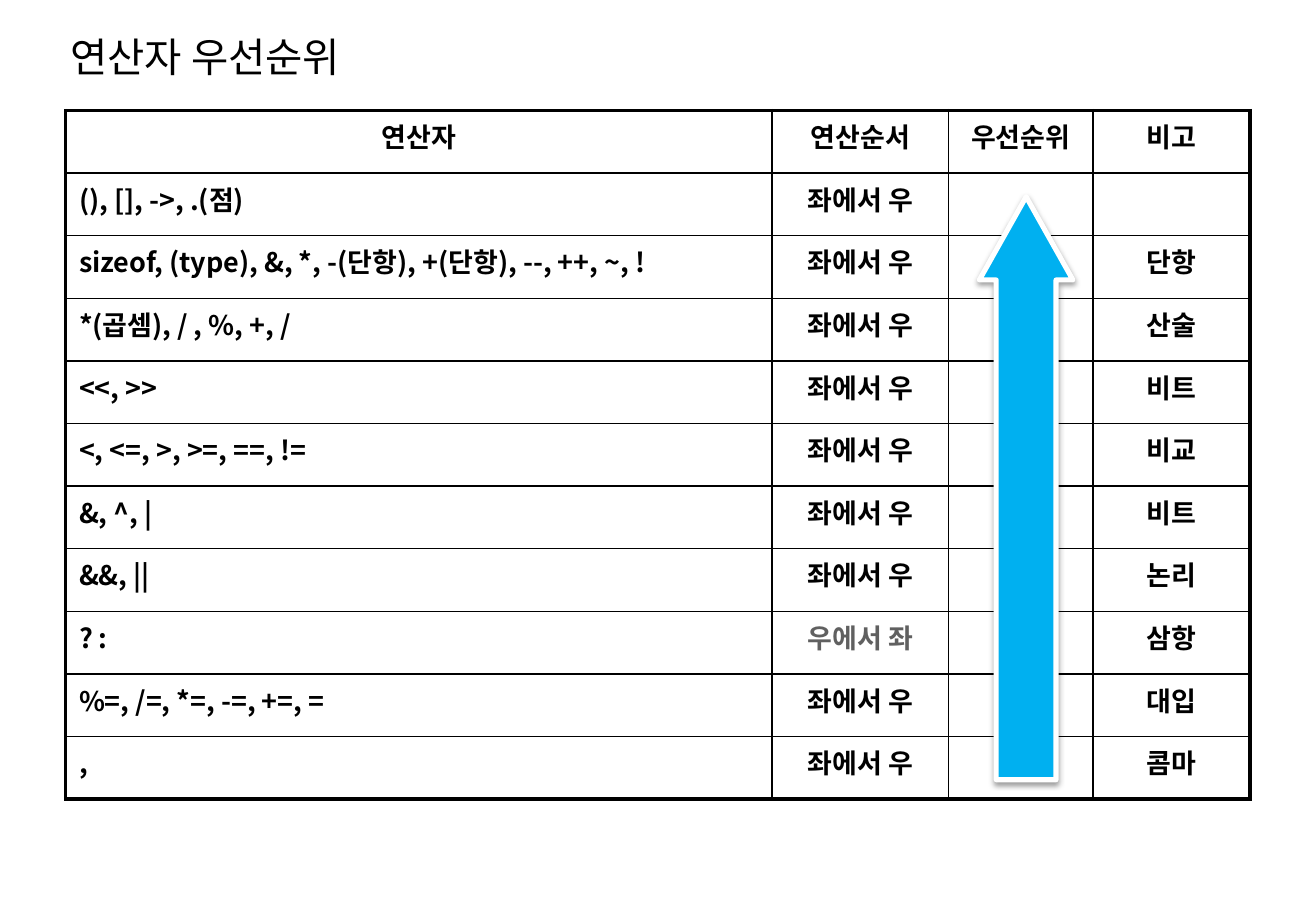
from lxml import etree
from pptx import Presentation
from pptx.dml.color import RGBColor
from pptx.enum.shapes import MSO_SHAPE
from pptx.enum.text import MSO_ANCHOR, PP_ALIGN
from pptx.oxml.ns import qn
from pptx.util import Inches, Pt

UP_ARROW = MSO_SHAPE.UP_ARROW
MIDDLE = MSO_ANCHOR.MIDDLE
LEFT, CENTER = PP_ALIGN.LEFT, PP_ALIGN.CENTER

FONT = "Noto Sans CJK KR"
COLORS = {"ink": "000000", "muted": "606060", "arrow": "00B0F0", "paper": "FFFFFF"}
THIN, THICK = 1, 2.25

LTR, RTL = "좌에서 우", "우에서 좌"
HEADINGS = ["연산자", "연산순서", "우선순위", "비고"]
COLUMN_WEIGHTS = [5.81, 1.45, 1.19, 1.29]
OPERATORS = [
    ("(), [], ->, .(점)", LTR, ""),
    ("sizeof, (type), &, *, -(단항), +(단항), --, ++, ~, !", LTR, "단항"),
    ("*(곱셈), / , %, +, /", LTR, "산술"),
    ("<<, >>", LTR, "비트"),
    ("<, <=, >, >=, ==, !=", LTR, "비교"),
    ("&, ^, |", LTR, "비트"),
    ("&&, ||", LTR, "논리"),
    ("? :", RTL, "삼항"),
    ("%=, /=, *=, -=, +=, =", LTR, "대입"),
    (",", LTR, "콤마"),
]


def rgb(name):
    return RGBColor.from_string(COLORS[name])


def add_xml(parent, tag, **attributes):
    return etree.SubElement(parent, qn(tag), attributes)


class SlideBuilder:
    """Places elements by percentages of the slide's width and height."""

    def __init__(self, deck):
        self.width, self.height = deck.slide_width, deck.slide_height
        self.slide = deck.slides.add_slide(deck.slide_layouts[6])

    def place(self, x, y, w, h):
        return [round(share * side / 100) for share, side in
                zip((x, y, w, h), (self.width, self.height) * 2)]

    def set_text(self, frame, text, size, color="ink", bold=False, align=LEFT):
        paragraph = frame.paragraphs[0]
        paragraph.text = text
        paragraph.alignment = align
        font = paragraph.font
        font.name, font.size, font.bold = FONT, Pt(size), bold
        font.color.rgb = rgb(color)
        add_xml(paragraph._p.pPr.find(qn("a:defRPr")), "a:ea", typeface=FONT)

    def title(self, text, *area):
        frame = self.slide.shapes.add_textbox(*self.place(*area)).text_frame
        frame.word_wrap = True
        frame.vertical_anchor = MIDDLE
        self.set_text(frame, text, 24)

    def borders(self, cell, **widths):
        properties = cell._tc.get_or_add_tcPr()
        for index, side in enumerate("LRTB"):
            line = add_xml(properties, f"a:ln{side}", w=str(Pt(widths[side])))
            add_xml(add_xml(line, "a:solidFill"), "a:srgbClr", val=COLORS["ink"])
            properties.insert(index, line)

    def table(self, rows, weights, *area):
        left, top, width, height = self.place(*area)
        last_row, last_column = len(rows) - 1, len(weights) - 1
        table = self.slide.shapes.add_table(
            len(rows), len(weights), left, top, width, height).table
        table.first_row = table.horz_banding = False
        for column, weight in zip(table.columns, weights):
            column.width = round(width * weight / sum(weights))
        for r, row in enumerate(rows):
            table.rows[r].height = round(height / len(rows))
            for c, text in enumerate(row):
                cell = table.cell(r, c)
                cell.margin_left = cell.margin_right = Inches(0.11)
                cell.fill.background()
                self.borders(cell,
                             L=THIN if c else THICK,
                             R=THICK if c == last_column else THIN,
                             T=THIN if r else THICK,
                             B=THICK if r == last_row else THIN)
                self.set_text(cell.text_frame, text, 16, bold=True,
                              color="muted" if text == RTL else "ink",
                              align=LEFT if r and c == 0 else CENTER)

    def arrow(self, shaft, head, *area):
        arrow = self.slide.shapes.add_shape(UP_ARROW, *self.place(*area))
        arrow.adjustments[0], arrow.adjustments[1] = shaft, head
        arrow.fill.solid()
        arrow.fill.fore_color.rgb = rgb("arrow")
        arrow.line.color.rgb = rgb("paper")
        arrow.line.width = Pt(3)
        # Soft shadow straight below
        arrow.shadow.inherit = False
        effects = arrow._element.spPr.find(qn("a:effectLst"))
        shadow = add_xml(effects, "a:outerShdw", blurRad=str(Pt(3.1)),
                         dist=str(Pt(1.6)), dir="5400000", rotWithShape="0")
        color = add_xml(shadow, "a:srgbClr", val=COLORS["ink"])
        add_xml(color, "a:alpha", val="38000")


def main():
    deck = Presentation()
    deck.slide_width, deck.slide_height = Inches(10.83), Inches(7.5)
    page = SlideBuilder(deck)

    # Heading
    page.title("연산자 우선순위", 4.43, 1.07, 39.8, 10.13)

    # Operator table; the priority column stays empty for the arrow
    rows = [HEADINGS] + [(signs, order, "", note) for signs, order, note in OPERATORS]
    page.table(rows, COLUMN_WEIGHTS, 4.99, 12.13, 90, 75.6)

    # Rising priority
    page.arrow(0.64, 0.89, 74.42, 21.6, 7.11, 64)

    deck.save("out.pptx")


if __name__ == "__main__":
    main()
